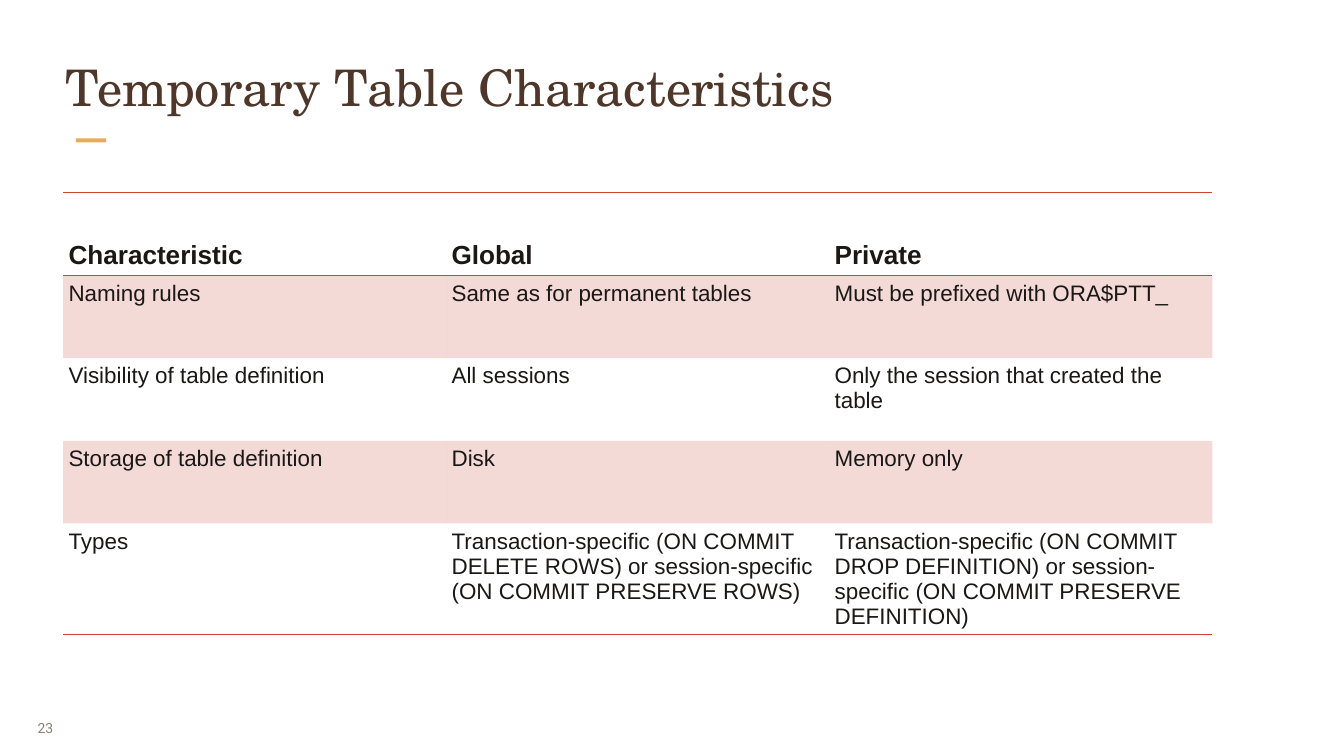
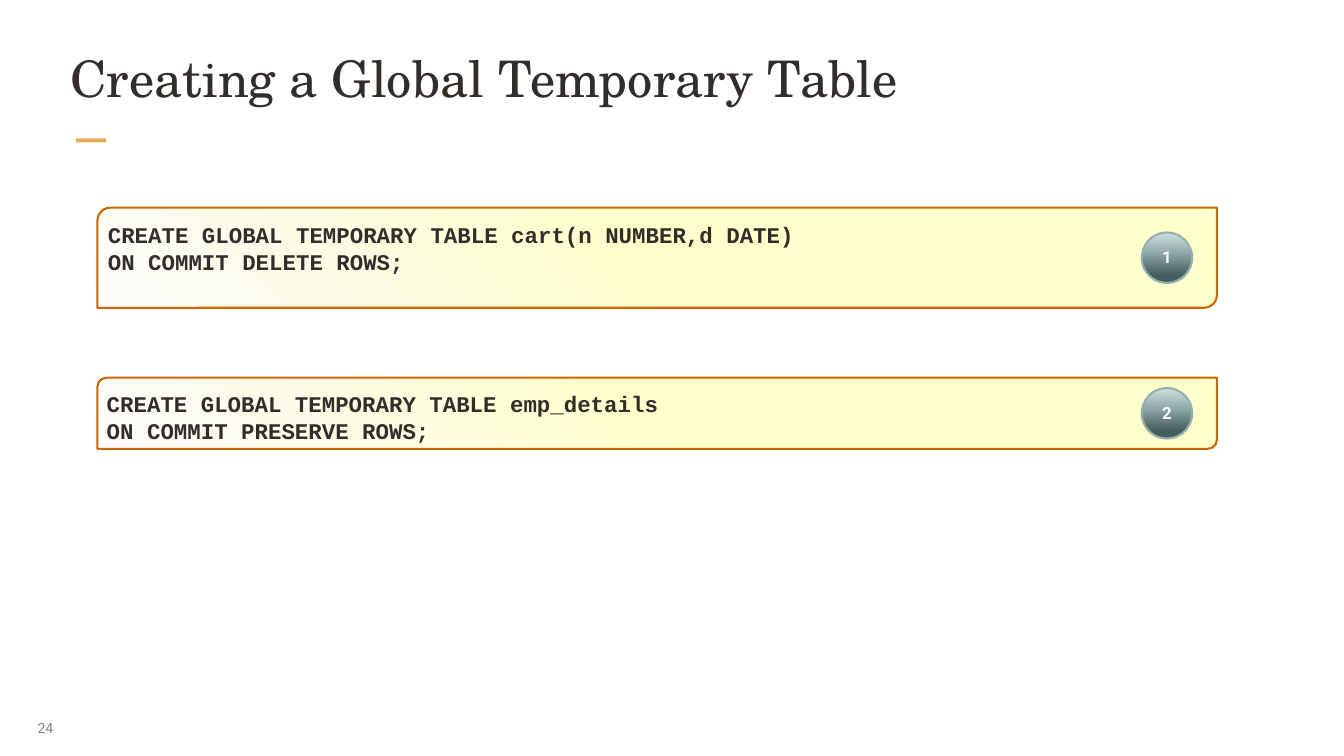
from lxml import etree
from pptx import Presentation
from pptx.dml.color import RGBColor
from pptx.enum.shapes import MSO_SHAPE
from pptx.enum.text import MSO_ANCHOR, MSO_AUTO_SIZE, PP_ALIGN
from pptx.oxml.ns import qn
from pptx.util import Inches, Pt

RECT, OVAL = MSO_SHAPE.RECTANGLE, MSO_SHAPE.OVAL
CODE_BOX = MSO_SHAPE.ROUND_2_DIAG_RECTANGLE
TOP, MIDDLE, BOTTOM = MSO_ANCHOR.TOP, MSO_ANCHOR.MIDDLE, MSO_ANCHOR.BOTTOM
LEFT, CENTER, JUSTIFY = PP_ALIGN.LEFT, PP_ALIGN.CENTER, PP_ALIGN.JUSTIFY
NO_FIT = MSO_AUTO_SIZE.NONE

SERIF, SANS, BODY, MONO = "TeX Gyre Schola", "Roboto", "Arial", "Courier New"
BROWN, INK, TABLE_INK, GREY = "4E3629", "312D2A", "1A1816", "8B8078"
GOLD, RED, ORANGE, TEAL, PALE = "E6AC58", "C74634", "CC6600", "94AFAF", "FCFBFA"
CODE_STOPS = [(0, "FFFFCC"), (50, "FFFFCC"), (100, PALE)]
BADGE_STOPS = [(0, "D4DFDF"), (36, TEAL), (85, "455C5C")]
NO_TABLE_STYLE = "{2D5ABB26-0587-4C30-8999-92F81FD0307C}"

CHARACTERISTICS = [
    ("Characteristic", "Global", "Private"),
    ("Naming rules", "Same as for permanent tables", "Must be prefixed with ORA$PTT_"),
    ("Visibility of table definition", "All sessions",
     "Only the session that created the table"),
    ("Storage of table definition", "Disk", "Memory only"),
    ("Types",
     "Transaction-specific (ON COMMIT DELETE ROWS) or session-specific "
     "(ON COMMIT PRESERVE ROWS)",
     "Transaction-specific (ON COMMIT DROP DEFINITION) or session-specific "
     "(ON COMMIT PRESERVE DEFINITION)"),
]
STATEMENTS = [
    (3.09, 1.49, ["CREATE GLOBAL TEMPORARY TABLE cart(n NUMBER,d DATE)",
                  "ON COMMIT DELETE ROWS;"]),
    (5.62, 1.06, ["CREATE GLOBAL TEMPORARY TABLE emp_details",
                  "ON COMMIT PRESERVE ROWS;"]),
]
COL_W, ROW_H = 5.7, 1.23
BADGE = 0.75


def rgb(value):
    return RGBColor.from_string(value)


def write(tf, lines, size, color, font, bold=False, align=LEFT, anchor=TOP,
          insets=(0, 0, 0, 0), wrap=True, spacing=None):
    tf.auto_size = NO_FIT
    tf.word_wrap = wrap
    tf.vertical_anchor = anchor
    tf.margin_left, tf.margin_top, tf.margin_right, tf.margin_bottom = map(Inches, insets)
    for i, line in enumerate(lines):
        p = tf.add_paragraph() if i else tf.paragraphs[0]
        p.alignment = align
        if spacing:
            p.line_spacing = spacing
        r = p.add_run()
        r.text = line
        r.font.size, r.font.name, r.font.bold = Pt(size), font, bold
        r.font.color.rgb = rgb(color)


def add_shape(shapes, kind, box, line=None):
    sp = shapes.add_shape(kind, *map(Inches, box))
    sp.shadow.inherit = False
    if line:
        sp.line.color.rgb = rgb(line)
        sp.line.width = Pt(2.25)
    else:
        sp.line.fill.background()
    return sp


def fill_gradient(sp, stops, angle):
    sp.fill.gradient()
    sp.fill.gradient_angle = 360 - angle
    gs_list = sp._element.spPr.find(".//" + qn("a:gsLst"))
    for gs in list(gs_list):
        gs_list.remove(gs)
    for pos, color in stops:
        gs = etree.SubElement(gs_list, qn("a:gs"), pos=str(pos * 1000))
        etree.SubElement(gs, qn("a:srgbClr"), val=color)


def add_border(cell, side):
    ln = etree.SubElement(cell._tc.get_or_add_tcPr(), qn("a:" + side), w=str(Pt(1)))
    fill = etree.SubElement(ln, qn("a:solidFill"))
    etree.SubElement(fill, qn("a:srgbClr"), val=RED)


def add_slide(prs, title, number, left, top, color):
    s = prs.slides.add_slide(prs.slide_layouts[5])
    bar = add_shape(s.shapes, RECT, (1.13, 2.06, 0.45, 0.06))
    bar.fill.solid()
    bar.fill.fore_color.rgb = rgb(GOLD)
    num = s.shapes.add_textbox(*map(Inches, (0.43, 10.54, 0.65, 0.58)))
    write(num.text_frame, [str(number)], 15, GREY, SANS, align=JUSTIFY, anchor=MIDDLE,
          insets=(0.13, 0.07, 0.13, 0.07), wrap=False)
    t = s.shapes.title
    t.left, t.top, t.width, t.height = map(Inches, (left, top, 17.96, 1.28))
    write(t.text_frame, [title], 54, color, SERIF, insets=[0.03] * 4)
    return s


def add_characteristics(s):
    rows, cols = len(CHARACTERISTICS), len(CHARACTERISTICS[0])
    frame = s.shapes.add_table(rows, cols, Inches(0.94), Inches(2.87),
                               Inches(COL_W * cols), Inches(ROW_H * rows))
    table = frame.table
    table.first_row = table.horz_banding = False
    table._tbl.tblPr.find(qn("a:tableStyleId")).text = NO_TABLE_STYLE
    for col in table.columns:
        col.width = Inches(COL_W)
    for i, row in enumerate(CHARACTERISTICS):
        table.rows[i].height = Inches(ROW_H)
        header = i == 0
        for j, text in enumerate(row):
            cell = table.cell(i, j)
            write(cell.text_frame, [text], 28 if header else 24, TABLE_INK, BODY, bold=header)
            cell.vertical_anchor = BOTTOM if header else TOP
            cell.margin_left = cell.margin_right = Inches(0.08)
            cell.margin_top = cell.margin_bottom = Inches(0.08)
            if header:
                add_border(cell, "lnT")
            if i in (0, rows - 1):
                add_border(cell, "lnB")
            if i % 2:
                cell.fill.solid()
                cell.fill.fore_color.rgb = rgb(RED)
                clr = cell._tc.tcPr.find(qn("a:solidFill")).find(qn("a:srgbClr"))
                etree.SubElement(clr, qn("a:alpha"), val="20000")
            else:
                cell.fill.background()


def add_statement(s, number, top, height, lines):
    shapes = s.shapes.add_group_shape().shapes
    box = add_shape(shapes, CODE_BOX, (1.45, top, 16.66, height), ORANGE)
    box.adjustments[0], box.adjustments[1] = 0.13, 0
    fill_gradient(box, CODE_STOPS, 135)
    write(box.text_frame, lines, 24, INK, MONO, bold=True, insets=(0.1, 0.15, 0.02, 0.02))
    badge_top = top + (height - BADGE) / 2
    badge = add_shape(shapes, OVAL, (16.99, badge_top, BADGE, BADGE), TEAL)
    fill_gradient(badge, BADGE_STOPS, 90)
    write(badge.text_frame, [str(number)], 18, PALE, SANS, bold=True, align=CENTER,
          anchor=MIDDLE, insets=[0.1] * 4, wrap=False, spacing=0.95)


def main():
    prs = Presentation()
    prs.slide_width, prs.slide_height = Inches(20), Inches(11.25)
    s = add_slide(prs, "Temporary Table Characteristics", 23, 0.94, 0.81, BROWN)
    add_characteristics(s)
    s = add_slide(prs, "Creating a Global Temporary Table", 24, 1.02, 0.67, INK)
    for number, statement in enumerate(STATEMENTS, 1):
        add_statement(s, number, *statement)
    prs.save("out.pptx")


if __name__ == "__main__":
    main()
